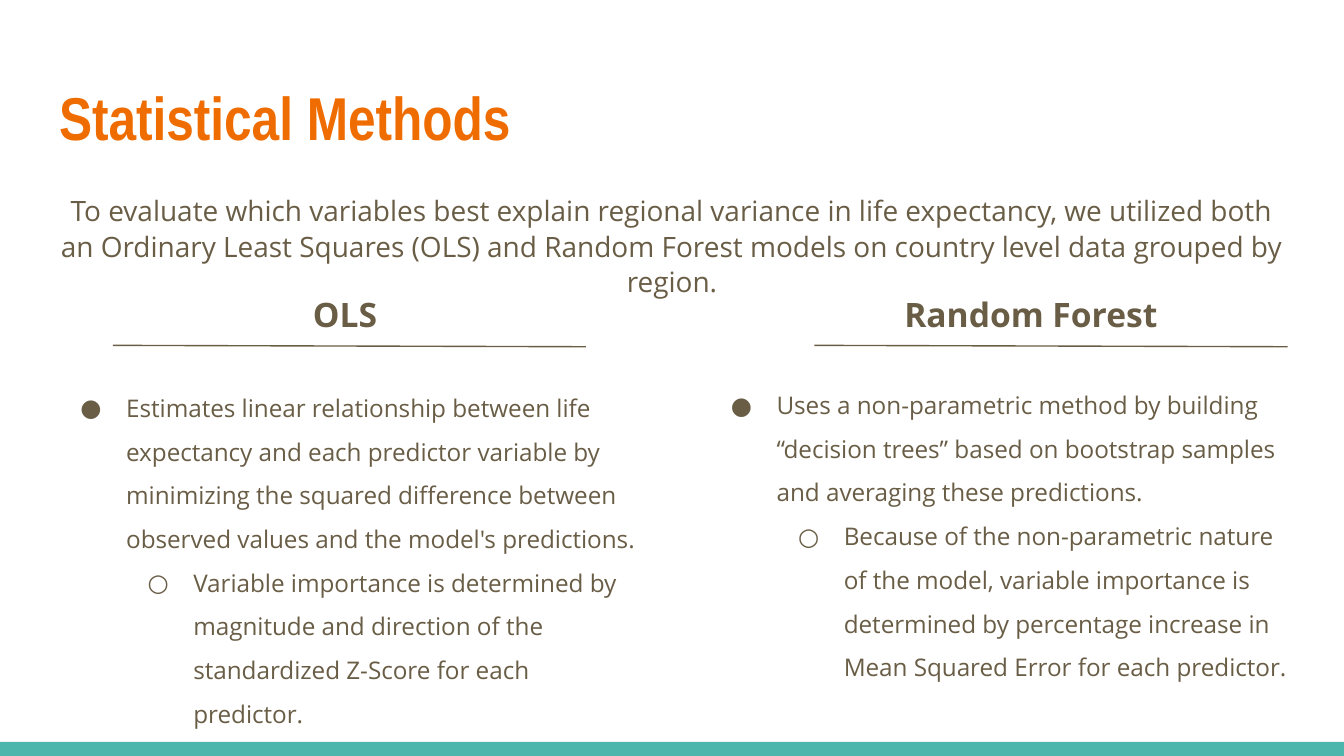
from dataclasses import dataclass

import pptx
import pptx.dml.color
import pptx.enum.shapes
import pptx.enum.text
import pptx.oxml.ns
import pptx.util
from lxml import etree

Inches = pptx.util.Inches
Pt = pptx.util.Pt
RGBColor = pptx.dml.color.RGBColor
Align = pptx.enum.text.PP_ALIGN
Anchor = pptx.enum.text.MSO_ANCHOR
qn = pptx.oxml.ns.qn

ORANGE = RGBColor(0xEF, 0x6C, 0x00)
BROWN = RGBColor(0x69, 0x5D, 0x46)
TEAL = RGBColor(0x4D, 0xB6, 0xAC)
BULLETS = "●○"


@dataclass
class Column:
    left: float
    head: str
    inset: float
    gap: float
    rule: float
    points: tuple[str, str]


COLUMNS = [
    Column(0.34, "OLS", 1.89, 23.5, 0.84, (
        "Estimates linear relationship between life expectancy and each "
        "predictor variable by minimizing the squared difference between "
        "observed values and the model's predictions.",
        "Variable importance is determined by magnitude and direction of "
        "the standardized Z-Score for each predictor.")),
    Column(5.18, "Random Forest", 1.45, 22, 6.06, (
        "Uses a non-parametric method by building “decision trees” based on "
        "bootstrap samples and averaging these predictions.",
        "Because of the non-parametric nature of the model, variable "
        "importance is determined by percentage increase in Mean Squared "
        "Error for each predictor.")),
]


def place(shape, left: float, top: float, width: float, height: float) -> None:
    shape.left, shape.top = Inches(left), Inches(top)
    shape.width, shape.height = Inches(width), Inches(height)


def frame(shape, anchor=Anchor.TOP):
    """Prepare a wrapping text frame with even margins."""
    text = shape.text_frame
    text.word_wrap = True
    text.auto_size = pptx.enum.text.MSO_AUTO_SIZE.NONE
    text.vertical_anchor = anchor
    text.margin_left = text.margin_right = Inches(0.1)
    text.margin_top = text.margin_bottom = Inches(0.1)
    return text


def write(para, text: str, size: float, font: str = "Open Sans",
          color: RGBColor = BROWN, bold: bool = False,
          align=Align.LEFT, space: float = 1.0) -> None:
    para.text = text
    para.alignment = align
    para.line_spacing = space
    para.space_before = Pt(0)
    for run in para.runs:
        run.font.name = font
        run.font.size = Pt(size)
        run.font.bold = bold
        run.font.color.rgb = color
    etree.SubElement(para._p, qn("a:endParaRPr"), sz=str(round(size * 100)))


def indent(para, left: float, first: float = 0, mark: str = "") -> None:
    """Set the indents and the bullet, or no bullet if mark is empty."""
    props = para._p.get_or_add_pPr()
    props.set("marL", str(Inches(left)))
    props.set("indent", str(Inches(first)))
    if mark:
        tint = etree.SubElement(props, qn("a:buClr"))
        etree.SubElement(tint, qn("a:srgbClr"), val=str(BROWN))
        etree.SubElement(props, qn("a:buSzPts"), val="1300")
        etree.SubElement(props, qn("a:buFont"), typeface="Open Sans")
        etree.SubElement(props, qn("a:buChar"), char=mark)
    else:
        etree.SubElement(props, qn("a:buNone"))


def draw(slide, col: Column) -> None:
    box = slide.shapes.add_textbox(
        Inches(col.left), Inches(2.09), Inches(4.52), Inches(3.19))
    text = frame(box)
    head = text.paragraphs[0]
    write(head, col.head, 18, bold=True)
    head.space_after = Pt(col.gap)
    indent(head, col.inset)
    for level, (point, mark) in enumerate(zip(col.points, BULLETS)):
        para = text.add_paragraph()
        para.level = level
        write(para, point, 13, space=1.5)
        indent(para, 0.5 * (level + 1), -0.34, mark)

    rule = slide.shapes.add_connector(
        pptx.enum.shapes.MSO_CONNECTOR.STRAIGHT,
        Inches(col.rule), Inches(2.57), Inches(col.rule + 3.52), Inches(2.58))
    rule.line.color.rgb = BROWN
    rule.line.width = Pt(0.75)
    etree.SubElement(rule._element.spPr, qn("a:effectLst"))


def main() -> None:
    deck = pptx.Presentation()
    # 16:9 page
    deck.slide_width, deck.slide_height = Inches(10), Inches(10 * 9 / 16)
    slide = deck.slides.add_slide(deck.slide_layouts[1])

    bar = slide.shapes.add_shape(
        pptx.enum.shapes.MSO_SHAPE.RECTANGLE,
        Inches(0), Inches(5.52), Inches(10), Inches(0.11))
    bar.shadow.inherit = False
    bar.fill.solid()
    bar.fill.fore_color.rgb = TEAL
    bar.line.fill.background()

    title = slide.shapes.title
    place(title, 0.34, 0.48, 9.32, 0.77)
    write(frame(title, Anchor.MIDDLE).paragraphs[0], "Statistical Methods",
          32.4, "Arial Narrow", ORANGE, bold=True)

    body = slide.placeholders[1]
    place(body, 0.34, 1.33, 9.32, 0.88)
    intro = frame(body).paragraphs[0]
    write(intro, "To evaluate which variables best explain regional variance "
          "in life expectancy, we utilized both an Ordinary Least Squares "
          "(OLS) and Random Forest models on country level data grouped by "
          "region.", 15, align=Align.CENTER, space=1.05)
    indent(intro, 0)

    for col in COLUMNS:
        draw(slide, col)
    deck.save("out.pptx")


if __name__ == "__main__":
    main()
